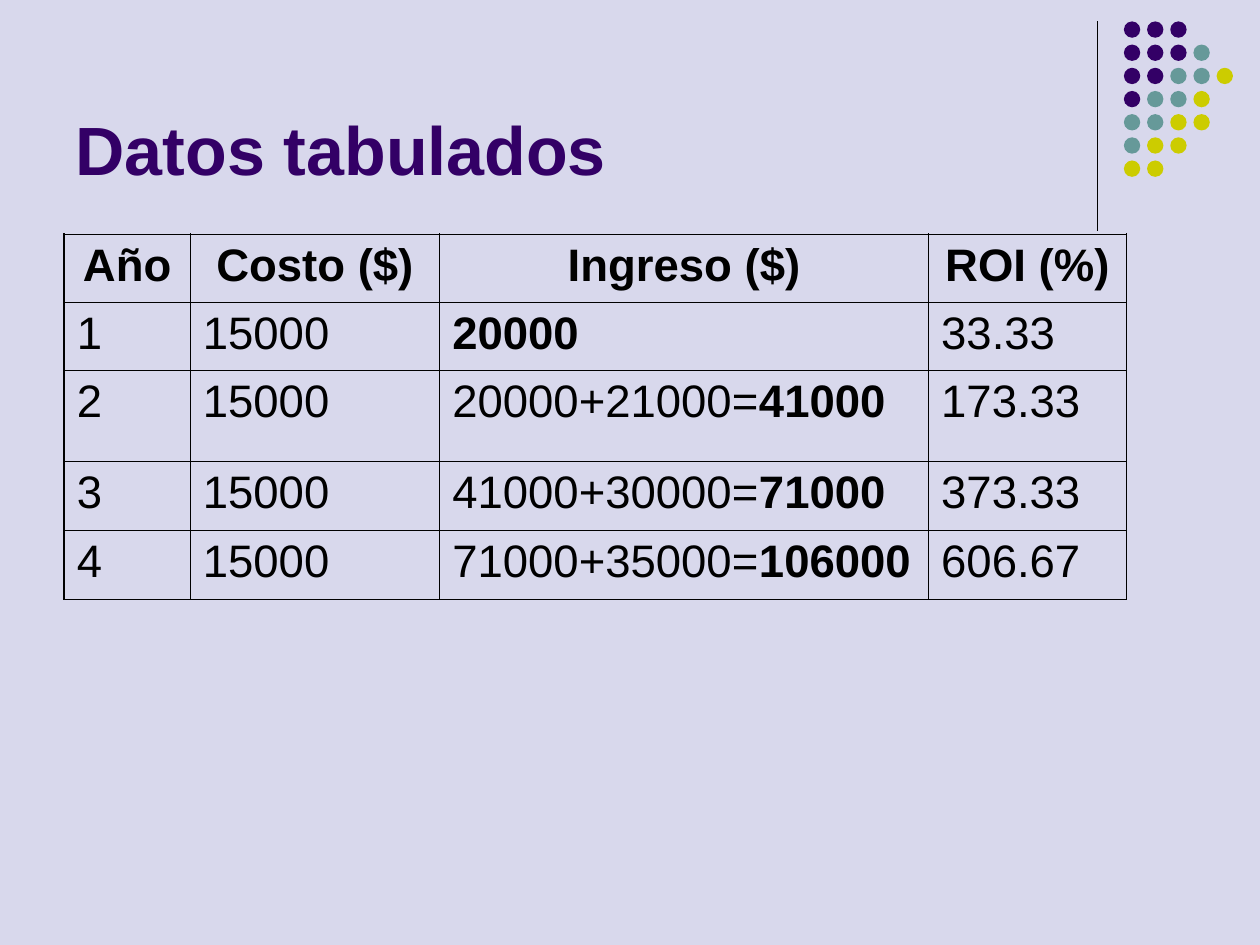
import pptx
import pptx.dml.color
import pptx.enum.shapes
import pptx.enum.text
import pptx.oxml.ns
import pptx.util
from dataclasses import dataclass
from lxml import etree

Inches = pptx.util.Inches
Pt = pptx.util.Pt
RGB = pptx.dml.color.RGBColor.from_string
Align = pptx.enum.text.PP_ALIGN
Anchor = pptx.enum.text.MSO_ANCHOR


@dataclass(frozen=True)
class Theme:
    font: str = "Arial"
    back: str = "D8D8EC"
    ink: str = "000000"
    purple: str = "330066"
    teal: str = "669999"
    lime: str = "CCCC00"
    title: float = 39
    body: float = 26
    rule: float = 0.75
    thin: float = 0.45
    thick: float = 1.08


THEME = Theme()

# One letter per dot: purple, teal or lime
DOTS = ["PPP", "PPPT", "PPTTL", "PTTL", "TTLL", "TLL", "LL"]

HEADS = ["Año", "Costo ($)", "Ingreso ($)", "ROI (%)"]
COSTS = "15000"
# Sum, total income, return
YEARS = [
    ("", "20000", "33.33"),
    ("20000+21000=", "41000", "173.33"),
    ("41000+30000=", "71000", "373.33"),
    ("71000+35000=", "106000", "606.67"),
]
COLS = [1, 1.98, 3.88, 1.57]
ROWS = [0.54, 0.54, 0.72, 0.55, 0.55]


def add_run(para, text, size, color, bold):
    run = para.add_run()
    run.text = text
    style = {"name": THEME.font, "size": Pt(size), "bold": bold}
    for key, value in style.items():
        setattr(run.font, key, value)
    run.font.color.rgb = RGB(color)


def add_title(slide, text):
    box = slide.shapes.add_textbox(Inches(0.5), Inches(0.13), Inches(8.25), Inches(1.42))
    frame = box.text_frame
    frame.word_wrap = True
    frame.vertical_anchor = Anchor.BOTTOM
    add_run(frame.paragraphs[0], text, THEME.title, THEME.purple, True)


def add_rule(slide):
    kind = pptx.enum.shapes.MSO_CONNECTOR.STRAIGHT
    x = Inches(8.71)
    rule = slide.shapes.add_connector(kind, x, Inches(0.17), x, Inches(1.83))
    rule.line.color.rgb = RGB(THEME.ink)
    rule.line.width = Pt(THEME.rule)
    props = rule._element.spPr
    etree.SubElement(props, pptx.oxml.ns.qn("a:effectLst"))


def add_dots(slide):
    kind = pptx.enum.shapes.MSO_SHAPE.OVAL
    hues = {"P": THEME.purple, "T": THEME.teal, "L": THEME.lime}
    size, step = Inches(0.13), Inches(0.184)
    left, top = Inches(8.92), Inches(0.17)
    group = slide.shapes.add_group_shape()
    for row, line in enumerate(DOTS):
        for col, hue in enumerate(line):
            dot = group.shapes.add_shape(
                kind, left + col * step, top + row * step, size, size)
            dot.shadow.inherit = False
            dot.fill.solid()
            dot.fill.fore_color.rgb = RGB(hues[hue])
            dot.line.fill.background()


def set_edges(cell, widths):
    """Draw the cell borders; widths maps L, R, T and B to points."""
    qn = pptx.oxml.ns.qn
    props = cell._tc.get_or_add_tcPr()
    for side, width in widths.items():
        edge = etree.SubElement(props, qn(f"a:ln{side}"), w=str(Pt(width)))
        fill = etree.SubElement(edge, qn("a:solidFill"))
        etree.SubElement(fill, qn("a:srgbClr"), val=THEME.ink)


def fill_cell(cell, runs, head):
    para = cell.text_frame.paragraphs[0]
    para.alignment = Align.CENTER if head else Align.LEFT
    for text, bold in runs:
        add_run(para, text, THEME.body, THEME.ink, bold)
    if head:
        cell.fill.solid()
        cell.fill.fore_color.rgb = RGB(THEME.back)
    else:
        cell.fill.background()


def list_rows():
    """Give each cell as a list of (text, bold) runs."""
    rows = [[[(head, True)] for head in HEADS]]
    for year, (terms, total, gain) in enumerate(YEARS, 1):
        sums = [(terms, False)] if terms else []
        rows.append([[(str(year), False)], [(COSTS, False)],
                     sums + [(total, True)], [(gain, False)]])
    return rows


def add_grid(slide):
    grid = slide.shapes.add_table(
        len(ROWS), len(COLS), Inches(0.51), Inches(1.86),
        Inches(sum(COLS)), Inches(sum(ROWS))).table
    grid.first_row = False
    grid.horz_banding = False
    for col, width in zip(grid.columns, COLS):
        col.width = Inches(width)
    for row, height in zip(grid.rows, ROWS):
        row.height = Inches(height)
    for r, cells in enumerate(list_rows()):
        for c, runs in enumerate(cells):
            outer = {"L": c == 0, "R": c == len(COLS) - 1,
                     "T": r == 0, "B": r == len(ROWS) - 1}
            cell = grid.cell(r, c)
            set_edges(cell, {side: THEME.thick if edge else THEME.thin
                             for side, edge in outer.items()})
            fill_cell(cell, runs, r == 0)


def main():
    deck = pptx.Presentation()
    deck.slide_width = Inches(10)
    deck.slide_height = Inches(7.5)
    slide = deck.slides.add_slide(deck.slide_layouts[6])
    slide.background.fill.solid()
    slide.background.fill.fore_color.rgb = RGB(THEME.back)
    add_rule(slide)
    add_dots(slide)
    add_title(slide, "Datos tabulados")
    add_grid(slide)
    deck.save("out.pptx")


if __name__ == "__main__":
    main()
